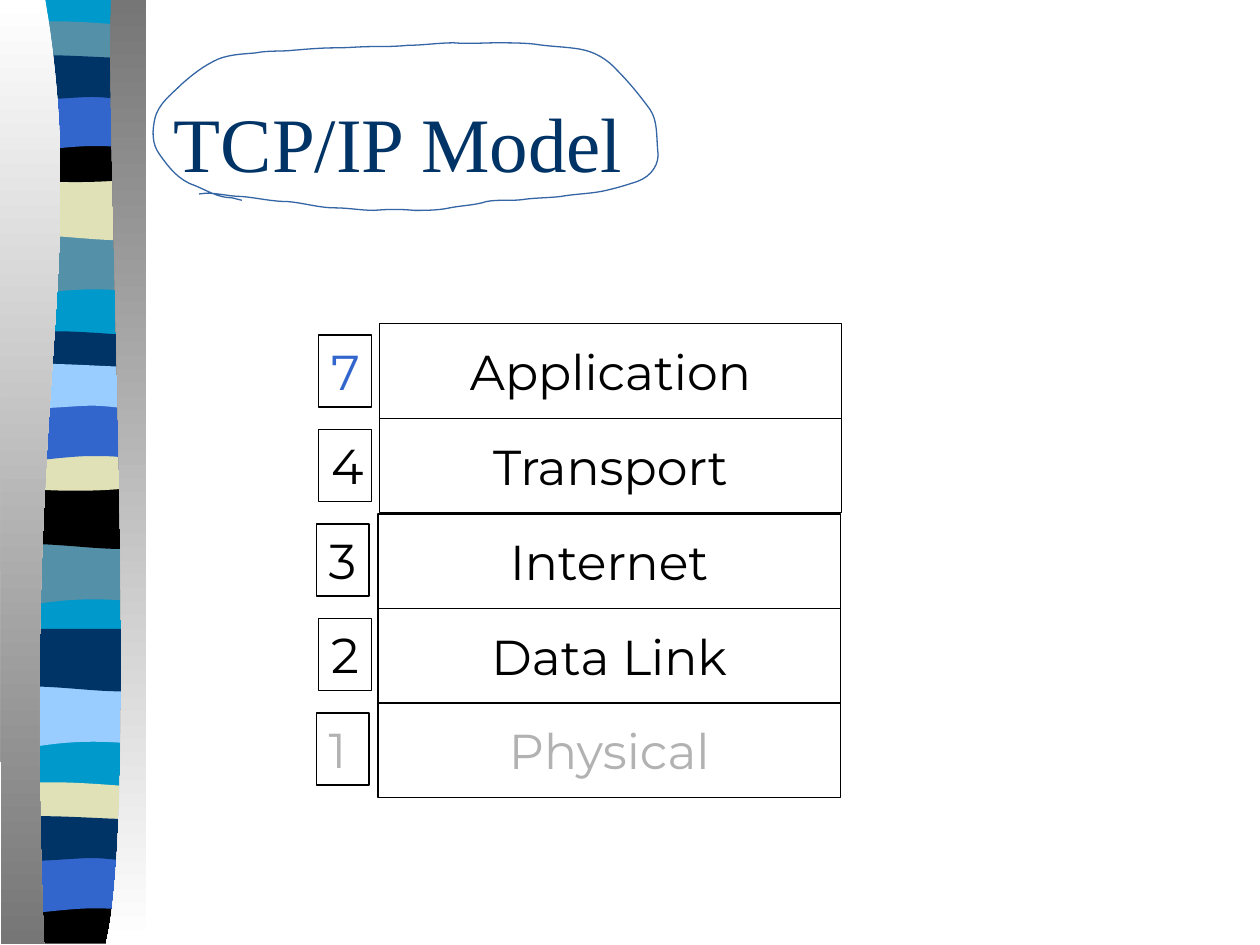
from lxml import etree
from pptx import Presentation
from pptx import util as u
from pptx.dml.color import RGBColor
from pptx.enum import shapes, text
from pptx.oxml.ns import qn

PX = 9144  # EMU per px, 100 px to the inch
THEME = {
    "navy": "003366", "blue": "3366CC", "cyan": "0099CC", "sky": "99CCFF",
    "steel": "5490A8", "sand": "E1E1B7", "black": "000000", "white": "FFFFFF",
    "muted": "B2B2B2", "shade": "767676", "ink": "3465A4",
    "title_font": "Times New Roman", "title_size": 44,
    "label_font": "Montserrat", "label_size": 28,
}


def colour(name):
    return RGBColor.from_string(THEME[name])


def add_outline(start, segments, left=0, top=0, close=True):
    """Draw a freeform; a segment is a line (x, y) or a cubic curve of six numbers."""
    points = [start]
    for segment in segments:
        points += zip(segment[::2], segment[1::2])
    points = [((left + x) * PX, (top + y) * PX) for x, y in points]
    builder = slide.shapes.build_freeform(*points[0])
    builder.add_line_segments(points[1:], close=close)
    shape = builder.convert_to_shape()
    lines = iter(list(shape._element.iter(qn("a:lnTo"))))
    for segment in segments:
        line = next(lines)
        if len(segment) == 6:  # fold three points into one curve
            curve = etree.SubElement(line.getparent(), qn("a:cubicBezTo"))
            line.addprevious(curve)
            for part in (line, next(lines), next(lines)):
                curve.append(part[0])
                part.getparent().remove(part)
    shape.shadow.inherit = False
    shape.line.fill.background()
    return shape


presentation = Presentation()
presentation.slide_width = 1000 * PX
presentation.slide_height = 750 * PX
slide = presentation.slides.add_slide(presentation.slide_layouts[5])
master_tree = presentation.slide_master.shapes._spTree

# Striped ribbon on the master: a few band outlines, repeated down the slide
BANDS = {
    "full": [(108, 0), (108, 748), (0, 748), (0, 0)],
    "swell": [(108, 0), (108, 47), (33, 39, 18, 55, 0, 47), (0, 0)],
    "ripple": [(108, 0), (108, 47), (90, 55, 33, 42, 0, 47), (0, 0)],
    "thin": [(108, 5), (108, 29), (90, 33, 18, 33, 0, 29), (0, 5),
             (6, 0, 23, 1, 41, 1), (59, 1, 94, 4, 108, 5)],
    "bowl": [(108, 0), (108, 32), (90, 38, 18, 38, 0, 32), (0, 0),
             (66, 5, 85, 0, 108, 0)],
    "arch": [(108, 0), (108, 47), (91, 42, 84, 42, 66, 42),
             (48, 42, 16, 47, 0, 47), (0, 0)],
    "wave": [(108, 5), (108, 36), (102, 41, 85, 36, 67, 36),
             (49, 36, 12, 41, 0, 36), (0, 5), (16, 0, 74, 5, 92, 5), (108, 5)],
    "end": [(108, 0), (108, 37), (0, 37), (0, 0), (66, 5, 85, 0, 108, 0)],
}
RIBBON = [
    ("full", 0, "cyan"),
    ("swell", 185, "steel"), ("ripple", 141, "sand"), ("thin", 16, "steel"),
    ("bowl", 108, "black"), ("arch", 74, "blue"), ("wave", 41, "navy"),
    ("swell", 431, "steel"), ("ripple", 386, "black"), ("thin", 262, "navy"),
    ("bowl", 353, "sand"), ("arch", 320, "blue"), ("wave", 286, "sky"),
    ("swell", 544, "sky"), ("ripple", 499, "navy"), ("thin", 620, "sand"),
    ("end", 712, "black"), ("arch", 679, "blue"), ("wave", 645, "navy"),
]
for band, top, fill in RIBBON:
    start, *segments = BANDS[band]
    shape = add_outline(start, segments, left=6, top=top)
    shape.fill.solid()
    shape.fill.fore_color.rgb = colour(fill)
    master_tree.append(shape._element)

# Shaded edges that give the ribbon its curved sides
EDGES = [
    ((36, 0), [(71, 216, 17, 296, 35, 749), (1, 749), (0, 0)], ("white", "shade")),
    ((88, 0), [(84, 125, 111, 646, 84, 749), (116, 749), (116, 0)], ("shade", "white")),
]
for start, segments, fades in EDGES:
    shape = add_outline(start, segments)
    shape.fill.gradient()
    shape.fill.gradient_angle = 270
    for stop, fade in zip(shape.fill.gradient_stops, fades):
        stop.color.rgb = colour(fade)
    master_tree.append(shape._element)

# Title
title = slide.shapes.title
for name, value in {"left": 128, "top": 50, "width": 850, "height": 125}.items():
    setattr(title, name, value * PX)
title.text_frame.text = "TCP/IP Model"
title.text_frame.vertical_anchor = text.MSO_ANCHOR.MIDDLE
paragraph = title.text_frame.paragraphs[0]
paragraph.alignment = text.PP_ALIGN.LEFT
paragraph.font.name = THEME["title_font"]
paragraph.font.size = u.Pt(THEME["title_size"])
paragraph.font.color.rgb = colour("navy")

# Layer stack, then the number box beside each layer
LAYERS = [("Application", "black", 301), ("Transport", "black", 301),
          ("Internet", "black", 300), ("Data Link", "black", 300),
          ("Physical", "muted", 300)]
NUMBERS = [("7", "blue", 253), ("4", "black", 253), ("3", "black", 251),
           ("2", "black", 253), ("1", "muted", 251)]
LAYER_FORMAT = {"word_wrap": False, "vertical_anchor": text.MSO_ANCHOR.MIDDLE}
NUMBER_FORMAT = {"word_wrap": False, "vertical_anchor": text.MSO_ANCHOR.TOP,
                 "auto_size": text.MSO_AUTO_SIZE.SHAPE_TO_FIT_TEXT}
COLUMNS = [
    (LAYERS, 257, 75.3, 367, 75, text.PP_ALIGN.CENTER, LAYER_FORMAT),
    (NUMBERS, 266, 75, 42, 57, text.PP_ALIGN.LEFT, NUMBER_FORMAT),
]
for entries, first_top, pitch, width, height, alignment, frame_format in COLUMNS:
    for row, (label, ink, left) in enumerate(entries):
        place = (left, first_top + round(row * pitch), width, height)
        box = slide.shapes.add_shape(shapes.MSO_SHAPE.RECTANGLE, *(n * PX for n in place))
        box.shadow.inherit = False
        box.fill.solid()
        box.fill.fore_color.rgb = colour("white")
        box.line.color.rgb = colour("black")
        box.line.width = u.Pt(0.75)
        box.text_frame.text = label
        for name, value in frame_format.items():
            setattr(box.text_frame, name, value)
        paragraph = box.text_frame.paragraphs[0]
        paragraph.alignment = alignment
        paragraph.font.name = THEME["label_font"]
        paragraph.font.size = u.Pt(THEME["label_size"])
        paragraph.font.color.rgb = colour(ink)

# Hand-drawn loop round the title
LOOP = [
    (170, 152, 180, 156, 192, 156), (204, 157, 216, 160, 228, 160),
    (241, 161, 253, 165, 266, 165), (276, 165, 287, 167, 297, 167),
    (308, 166, 318, 166, 329, 167), (338, 167, 348, 167, 357, 165),
    (367, 163, 377, 163, 386, 160), (396, 158, 407, 160, 418, 158),
    (427, 157, 436, 157, 445, 156), (456, 154, 466, 154, 477, 152),
    (487, 150, 497, 147, 506, 144), (517, 140, 524, 130, 522, 119),
    (521, 108, 522, 96, 516, 87), (508, 76, 499, 65, 490, 56),
    (482, 47, 472, 41, 460, 39), (448, 37, 436, 37, 424, 35),
    (414, 34, 404, 34, 394, 34), (383, 34, 372, 35, 360, 34),
    (348, 34, 336, 36, 324, 36), (314, 37, 305, 37, 295, 37),
    (286, 37, 276, 38, 267, 38), (255, 38, 244, 39, 232, 40),
    (223, 41, 213, 40, 203, 42), (193, 43, 183, 43, 173, 47),
    (162, 52, 153, 59, 144, 67), (136, 75, 126, 82, 123, 94),
    (121, 103, 120, 114, 127, 123), (134, 133, 142, 143, 154, 147),
    (164, 151, 173, 157, 184, 157), (192, 159),
]
loop = add_outline((158, 154), LOOP, close=False)
loop.fill.background()
loop.line.color.rgb = colour("ink")
loop.line.width = u.Pt(0)

presentation.save("out.pptx")
